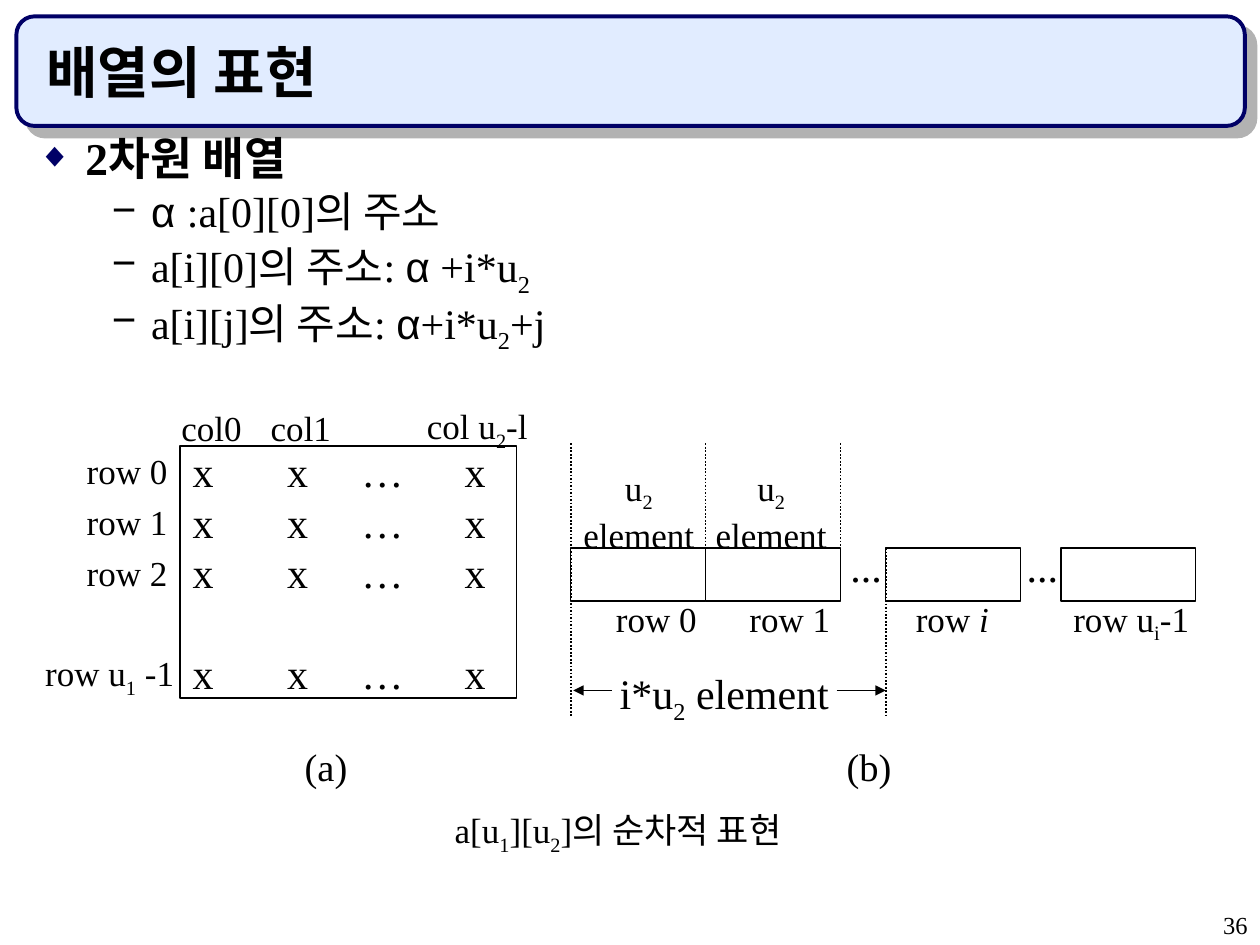
from lxml import etree
from pptx import Presentation
from pptx.dml.color import RGBColor
from pptx.enum.dml import MSO_LINE
from pptx.enum.shapes import MSO_CONNECTOR, MSO_SHAPE
from pptx.enum.text import MSO_ANCHOR, MSO_AUTO_SIZE, PP_ALIGN
from pptx.oxml.ns import qn
from pptx.util import Inches, Pt

BLACK = RGBColor(0x00, 0x00, 0x00)
WHITE = RGBColor(0xFF, 0xFF, 0xFF)
NAVY = RGBColor(0x00, 0x00, 0x66)
PALE_BLUE = RGBColor(0xE1, 0xEC, 0xFF)
SHADOW_GREY = RGBColor(0xB2, 0xB2, 0xB2)
SERIF, SANS, KOREAN = "Times New Roman", "Arial", "Noto Sans CJK KR"
LEFT, CENTER, RIGHT, JUSTIFY = PP_ALIGN.LEFT, PP_ALIGN.CENTER, PP_ALIGN.RIGHT, PP_ALIGN.JUSTIFY
FIT_SHAPE, FIXED = MSO_AUTO_SIZE.SHAPE_TO_FIT_TEXT, MSO_AUTO_SIZE.NONE
SUB, ITALIC, GREEK = "sub", "italic", "greek"


def add_runs(paragraph, runs, size, font=SERIF, bold=False):
    """Add runs; each is a string or a (string, style) pair."""
    for item in runs:
        text, style = (item, None) if isinstance(item, str) else item
        run = paragraph.add_run()
        run.text = text
        run.font.size = Pt(size)
        run.font.bold = bold
        run.font.italic = style == ITALIC
        run.font.color.rgb = BLACK
        run.font.name = SANS if style == GREEK else font
        properties = run.font._element
        etree.SubElement(properties, qn("a:ea"), typeface=KOREAN)
        if style == SUB:
            properties.set("baseline", "-25000")


def add_label(x, y, w, h, lines, size=20, align=LEFT, wrap=False, **style):
    """Add a text box with one paragraph for each list of runs."""
    frame = slide.shapes.add_textbox(Inches(x), Inches(y), Inches(w), Inches(h)).text_frame
    frame.word_wrap = wrap
    frame.auto_size = FIXED if wrap else FIT_SHAPE
    for index, runs in enumerate(lines):
        paragraph = frame.add_paragraph() if index else frame.paragraphs[0]
        paragraph.alignment = align
        add_runs(paragraph, runs, size, **style)
    return frame


prs = Presentation()
prs.slide_width, prs.slide_height = Inches(10), Inches(7.5)
slide = prs.slides.add_slide(prs.slide_layouts[6])

# Title banner with hard offset shadow
banner = slide.shapes.add_shape(MSO_SHAPE.ROUNDED_RECTANGLE, Inches(0.13), Inches(0.13),
                                Inches(9.75), Inches(0.87))
banner.shadow.inherit = False
banner.fill.solid()
banner.fill.fore_color.rgb = PALE_BLUE
banner.line.color.rgb = NAVY
banner.line.width = Pt(2.25)
effects = banner._element.spPr.find(qn("a:effectLst"))
shadow = etree.SubElement(effects, qn("a:outerShdw"), blurRad="0", dist=str(Pt(8.5)),
                          dir="2700000", algn="ctr", rotWithShape="0")
etree.SubElement(shadow, qn("a:srgbClr"), val=str(SHADOW_GREY))

title = add_label(0.27, 0.21, 9.42, 0.67, [["배열의 표현"]], 32, wrap=True, font=KOREAN, bold=True)
title.vertical_anchor = MSO_ANCHOR.BOTTOM

# Page number
add_label(7.92, 7.17, 2.08, 0.33, [["36"]], 14, RIGHT, wrap=True)

# Bulleted address formulas
alpha = ("α", GREEK)
bullets = [
    (0, ["2차원 배열"]),
    (1, [("α ", GREEK), ":a[0][0]의 주소"]),
    (1, ["a[i][0]의 주소: ", alpha, " +i*u", ("2", SUB)]),
    (1, ["a[i][j]의 주소: ", alpha, "+i*u", ("2", SUB), "+j"]),
]
# size, space before, margin, hanging, bullet, bullet font, bullet colour, bullet size
levels = [(26, 6.5, 0.38, 0.38, "◆", SERIF, NAVY, 75),
          (24, 6, 0.9, 0.31, "−", SANS, BLACK, 100)]
body = add_label(0.2, 1.07, 9.42, 5.83, [], wrap=True)
for index, (level, runs) in enumerate(bullets):
    size, before, margin, hanging, mark, mark_font, colour, percent = levels[level]
    paragraph = body.add_paragraph() if index else body.paragraphs[0]
    paragraph.alignment = JUSTIFY
    paragraph.level = level
    paragraph.line_spacing = 0.8
    paragraph.space_before = Pt(before)
    properties = paragraph._p.get_or_add_pPr()
    properties.set("marL", str(Inches(margin)))
    properties.set("indent", str(-Inches(hanging)))
    bullet_colour = etree.SubElement(properties, qn("a:buClr"))
    etree.SubElement(bullet_colour, qn("a:srgbClr"), val=str(colour))
    etree.SubElement(properties, qn("a:buSzPct"), val=str(percent * 1000))
    etree.SubElement(properties, qn("a:buFont"), typeface=mark_font)
    etree.SubElement(properties, qn("a:buChar"), char=mark)
    add_runs(paragraph, runs, size, bold=level == 0)

# (a) Matrix with tabbed columns
matrix = slide.shapes.add_shape(MSO_SHAPE.RECTANGLE, Inches(1.43), Inches(3.54),
                                Inches(2.67), Inches(2))
matrix.shadow.inherit = False
matrix.fill.background()
matrix.line.color.rgb = BLACK
matrix.line.width = Pt(0.75)
cells = matrix.text_frame
cells.word_wrap = True
cells.vertical_anchor = MSO_ANCHOR.MIDDLE
for row in range(4):
    paragraph = cells.add_paragraph() if row else cells.paragraphs[0]
    paragraph.alignment = LEFT
    if row == 3:
        paragraph.space_before = Pt(29)
    tabs = etree.SubElement(paragraph._p.get_or_add_pPr(), qn("a:tabLst"))
    for stop in (0.75, 1.34, 2.16):
        etree.SubElement(tabs, qn("a:tab"), pos=str(Inches(stop)), algn="l")
    add_runs(paragraph, ["x\tx\t…\tx"], 24)

# Matrix column and row headings
add_label(1.34, 3.18, 0.68, 0.44, [["col0"]])
add_label(2.05, 3.18, 0.68, 0.44, [["col1"]])
add_label(3.29, 3.16, 1, 0.48, [["col u", ("2", SUB), "-l"]])
for row in range(3):
    add_label(0.59, 3.52 + 0.405 * row, 0.84, 0.44, [[f"row {row}"]])
add_label(0.26, 5.12, 1.26, 0.48, [["row u", ("1", SUB), " -1"]])

# (b) Memory blocks
for x in (4.53, 5.6, 7.03, 8.42):
    block = slide.shapes.add_shape(MSO_SHAPE.RECTANGLE, Inches(x), Inches(4.35),
                                   Inches(1.07), Inches(0.42))
    block.shadow.inherit = False
    block.fill.solid()
    block.fill.fore_color.rgb = WHITE
    block.line.color.rgb = BLACK
    block.line.width = Pt(0.75)

# Block sizes, names and ellipses
for x in (4.53, 5.58):
    add_label(x, 3.65, 1.08, 0.82, [["u", ("2", SUB)], ["element"]], align=CENTER)
for x, w, runs in [
    (4.79, 0.84, ["row 0"]),
    (5.85, 0.84, ["row 1"]),
    (7.17, 0.78, ["row ", ("i", ITALIC)]),
    (8.42, 1.12, ["row u", ("i", SUB), "-1"]),
]:
    add_label(x, 4.69, w, 0.44, [runs])
for x in (6.65, 8.05):
    add_label(x, 4.24, 0.45, 0.5, [["..."]], 24)
add_label(4.82, 5.25, 1.86, 0.56, [["i*u", ("2", SUB), " element"]], 24)

# Dotted guides and offset arrows: start, end, width, dash, arrow end
for x1, y1, x2, y2, width, dash, arrow in [
    (4.53, 3.52, 4.53, 5.69, 1, MSO_LINE.ROUND_DOT, None),
    (5.6, 3.52, 5.6, 4.77, 1, MSO_LINE.ROUND_DOT, None),
    (6.67, 3.52, 6.67, 4.77, 1, MSO_LINE.ROUND_DOT, None),
    (7.03, 4.35, 7.03, 5.69, 1, MSO_LINE.ROUND_DOT, None),
    (4.55, 5.48, 4.86, 5.48, 0.75, None, "a:headEnd"),
    (6.64, 5.48, 7.03, 5.48, 0.75, None, "a:tailEnd"),
]:
    line = slide.shapes.add_connector(MSO_CONNECTOR.STRAIGHT, Inches(x1), Inches(y1),
                                      Inches(x2), Inches(y2))
    line.line.color.rgb = BLACK
    line.line.width = Pt(width)
    if dash:
        line.line.dash_style = dash
    if arrow:
        etree.SubElement(line.line._get_or_add_ln(), qn(arrow), type="triangle")
    etree.SubElement(line._element.spPr, qn("a:effectLst"))

# Captions
add_label(2.32, 5.85, 0.58, 0.47, [["(a)"]], 22)
add_label(6.62, 5.85, 0.58, 0.47, [["(b)"]], 22)
add_label(3.51, 6.37, 2.89, 0.48, [["a[u", ("1", SUB), "][u", ("2", SUB), "]의 순차적 표현"]])

prs.save("out.pptx")
